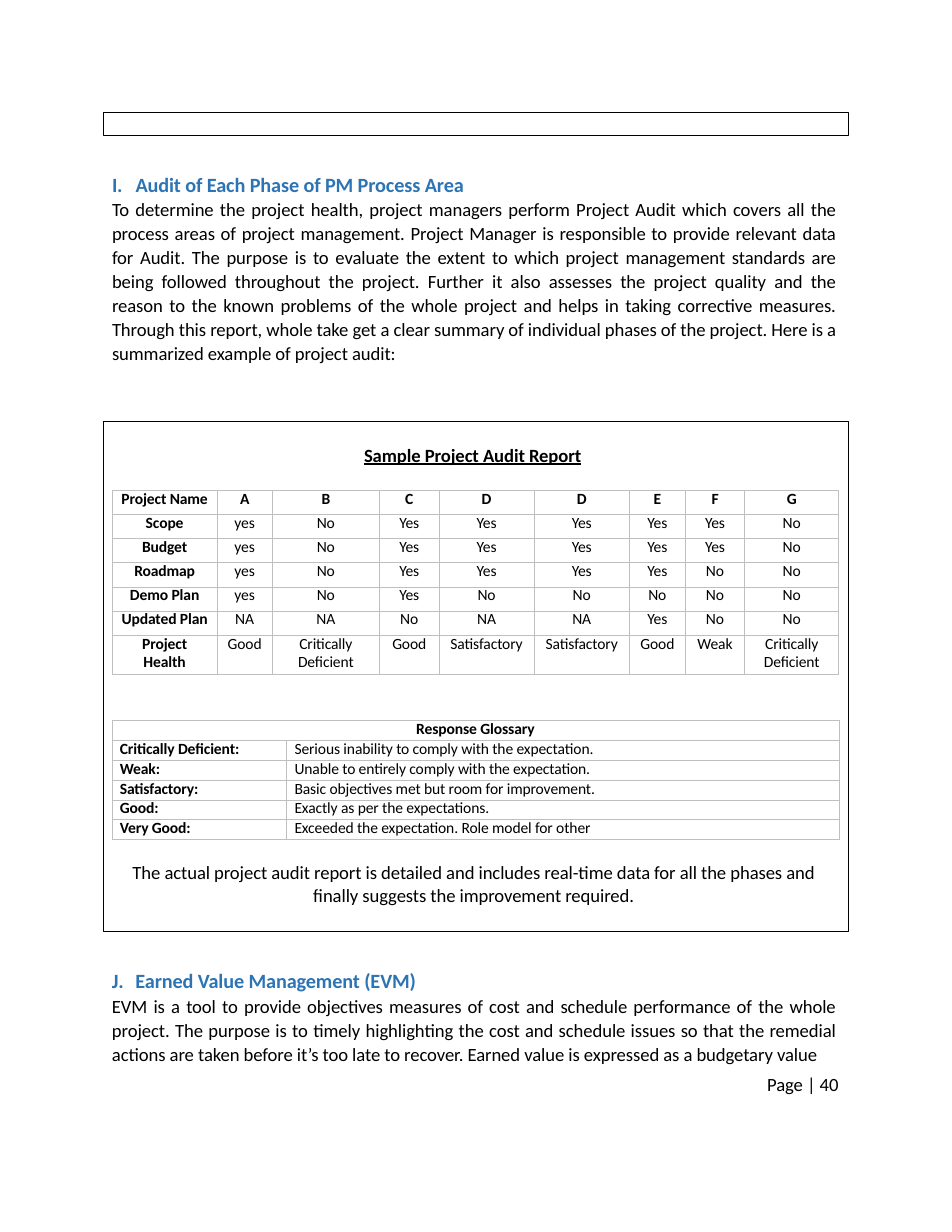
from collections import namedtuple
from dataclasses import dataclass

from lxml import etree
from pptx import Presentation
from pptx.dml.color import RGBColor
from pptx.enum.shapes import MSO_SHAPE
from pptx.enum.text import MSO_ANCHOR, MSO_AUTO_SIZE, PP_ALIGN
from pptx.oxml.ns import qn
from pptx.util import Inches, Pt

RECTANGLE = MSO_SHAPE.RECTANGLE
TOP = MSO_ANCHOR.TOP
NO_FIT = MSO_AUTO_SIZE.NONE
LEFT, CENTER, JUSTIFY = PP_ALIGN.LEFT, PP_ALIGN.CENTER, PP_ALIGN.JUSTIFY

Box = namedtuple("Box", "left top width height")


@dataclass(frozen=True)
class Theme:
    font: str = "Calibri"
    ink: str = "000000"
    heading: str = "2D74B5"
    grid: str = "BFBFBF"
    heading_size: int = 13
    body_size: int = 12
    table_size: int = 10
    line_width: float = 0.5
    tracking: int = -5


THEME = Theme()

AUDIT_TEXT = (
    "To determine the project health, project managers perform Project Audit which covers all the "
    "process areas of project management. Project Manager is responsible to provide relevant data "
    "for Audit. The purpose is to evaluate the extent to which project management standards are "
    "being followed throughout the project. Further it also assesses the project quality and the "
    "reason to the known problems of the whole project and helps in taking corrective measures. "
    "Through this report, whole take get a clear summary of individual phases of the project. "
    "Here is a summarized example of project audit:"
)
EVM_TEXT = (
    "EVM is a tool to provide objectives measures of cost and schedule performance of the whole "
    "project. The purpose is to timely highlighting the cost and schedule issues so that the remedial "
    "actions are taken before it’s too late to recover. Earned value is expressed as a budgetary value"
)
CAPTION = (
    "The actual project audit report is detailed and includes real-time data for all the phases and "
    "finally suggests the improvement required."
)
AUDIT_ROWS = [
    ["Project Name", "A", "B", "C", "D", "D", "E", "F", "G"],
    ["Scope", "yes", "No", "Yes", "Yes", "Yes", "Yes", "Yes", "No"],
    ["Budget", "yes", "No", "Yes", "Yes", "Yes", "Yes", "Yes", "No"],
    ["Roadmap", "yes", "No", "Yes", "Yes", "Yes", "Yes", "No", "No"],
    ["Demo Plan", "yes", "No", "Yes", "No", "No", "No", "No", "No"],
    ["Updated Plan", "NA", "NA", "No", "NA", "NA", "Yes", "No", "No"],
    ["Project\nHealth", "Good", "Critically\nDeficient", "Good", "Satisfactory",
     "Satisfactory", "Good", "Weak", "Critically\nDeficient"],
]
AUDIT_COLUMNS = [0.94, 0.49, 0.96, 0.53, 0.85, 0.85, 0.5, 0.53, 0.84]
GLOSSARY_ROWS = [
    ["Response Glossary", ""],
    ["Critically Deficient:", "Serious inability to comply with the expectation."],
    ["Weak:", "Unable to entirely comply with the expectation."],
    ["Satisfactory:", "Basic objectives met but room for improvement."],
    ["Good:", "Exactly as per the expectations."],
    ["Very Good:", "Exceeded the expectation. Role model for other"],
]
GLOSSARY_COLUMNS = [1.56, 4.93]


def place(shape, box):
    shape.left, shape.top, shape.width, shape.height = map(Inches, box)


def prepare_frame(shape, box, left=0, top=0, right=0):
    place(shape, box)
    frame = shape.text_frame
    frame.word_wrap = True
    frame.auto_size = NO_FIT
    frame.vertical_anchor = TOP
    frame.margin_left, frame.margin_top = Inches(left), Inches(top)
    frame.margin_right, frame.margin_bottom = Inches(right), 0
    return frame


def write(para, text, size, color=THEME.ink, bold=False, underline=False,
          align=LEFT, spacing=1.0, hang=0):
    properties = para._p.get_or_add_pPr()
    properties.set("marL", str(Inches(hang)))
    properties.set("indent", str(-Inches(hang)))
    etree.SubElement(properties, qn("a:buNone"))
    para.alignment = align
    para.line_spacing = spacing
    para.space_before = Pt(0)
    span = para.add_run()
    span.text = text
    font = span.font
    font.name, font.size = THEME.font, Pt(size)
    font.bold, font.underline = bold, underline
    font.color.rgb = RGBColor.from_string(color)
    span._r.get_or_add_rPr().set("spc", str(THEME.tracking))


def add_section(shape, box, heading, text):
    frame = prepare_frame(shape, box, left=0.01, top=0.04, right=0.05)
    write(frame.paragraphs[0], heading, THEME.heading_size, THEME.heading,
          bold=True, align=JUSTIFY, hang=0.21)
    write(frame.add_paragraph(), text, THEME.body_size, align=JUSTIFY, spacing=1.07)


def add_outline(page, box):
    outline = page.shapes.add_shape(RECTANGLE, *map(Inches, box))
    outline.shadow.inherit = False
    outline.fill.background()
    outline.line.color.rgb = RGBColor.from_string(THEME.ink)
    outline.line.width = Pt(THEME.line_width)


def style_cell(cell):
    cell.fill.background()
    cell.vertical_anchor = TOP
    cell.margin_left = cell.margin_right = cell.margin_top = cell.margin_bottom = 0
    properties = cell._tc.get_or_add_tcPr()
    for index, side in enumerate(("lnL", "lnR", "lnT", "lnB")):
        border = etree.Element(qn(f"a:{side}"), w=str(Pt(THEME.line_width)))
        fill = etree.SubElement(border, qn("a:solidFill"))
        etree.SubElement(fill, qn("a:srgbClr"), val=THEME.grid)
        properties.insert(index, border)


def add_grid(page, box, rows, columns, heights, align, indent=0):
    table = page.shapes.add_table(len(rows), len(columns), *map(Inches, box)).table
    table.first_row = table.horz_banding = False
    for column, width in zip(table.columns, columns):
        column.width = Inches(width)
    for r, (row, height) in enumerate(zip(rows, heights)):
        table.rows[r].height = Inches(height)
        for c, text in enumerate(row):
            cell = table.cell(r, c)
            style_cell(cell)
            cell.margin_left = Inches(indent)
            for index, line in enumerate(text.split("\n")):
                frame = cell.text_frame
                para = frame.add_paragraph() if index else frame.paragraphs[0]
                if line:
                    write(para, line, THEME.table_size, bold=r == 0 or c == 0,
                          align=align, spacing=Pt(11.7))
    return table


def add_audit_table(page, box):
    last = 0.35
    count = len(AUDIT_ROWS) - 1
    heights = [(box.height - last) / count] * count + [last]
    add_grid(page, box, AUDIT_ROWS, AUDIT_COLUMNS, heights, CENTER)


def add_glossary(page, box):
    count = len(GLOSSARY_ROWS)
    table = add_grid(page, box, GLOSSARY_ROWS, GLOSSARY_COLUMNS,
                     [box.height / count] * count, LEFT, indent=0.07)
    header = table.cell(0, 0)
    header.merge(table.cell(0, 1))
    header.margin_left = 0
    header.text_frame.paragraphs[0].alignment = CENTER


def add_report(page, box):
    left, top = box.left, box.top
    title = prepare_frame(page.shapes.title, Box(left + 2.33, top + 0.19, 2, 0.23), top=0.01)
    write(title.paragraphs[0], "Sample Project Audit Report", THEME.body_size,
          bold=True, underline=True)
    add_audit_table(page, Box(left + 0.08, top + 0.62, 6.5, 1.64))
    add_glossary(page, Box(left + 0.08, top + 2.67, 6.5, 1.07))
    caption_box = Box(left + 0.22, top + 3.92, 6.22, 0.43)
    caption = prepare_frame(add_text(page), caption_box, top=0.01, right=0.04)
    write(caption.paragraphs[0], CAPTION, THEME.body_size, align=CENTER)
    add_outline(page, box)


def add_text(page):
    return page.shapes.add_textbox(0, 0, 0, 0)


def add_page_number(page, box):
    frame = prepare_frame(add_text(page), box, left=0.01)
    frame.word_wrap = False
    write(frame.paragraphs[0], "Page | 40", THEME.body_size, spacing=Pt(12.4))


def main():
    deck = Presentation()
    deck.slide_width, deck.slide_height = Inches(8.5), Inches(11)
    page = deck.slides.add_slide(deck.slide_layouts[1])
    add_outline(page, Box(0.92, 1, 6.66, 0.21))
    add_section(page.placeholders[1], Box(0.99, 1.5, 6.53, 1.8),
                "I.\tAudit of Each Phase of PM Process Area", AUDIT_TEXT)
    add_report(page, Box(0.92, 3.76, 6.66, 4.56))
    add_section(add_text(page), Box(0.99, 8.61, 6.53, 0.93),
                "J.\tEarned Value Management (EVM)", EVM_TEXT)
    add_page_number(page, Box(6.84, 9.61, 0.71, 0.19))
    deck.save("out.pptx")


if __name__ == "__main__":
    main()
